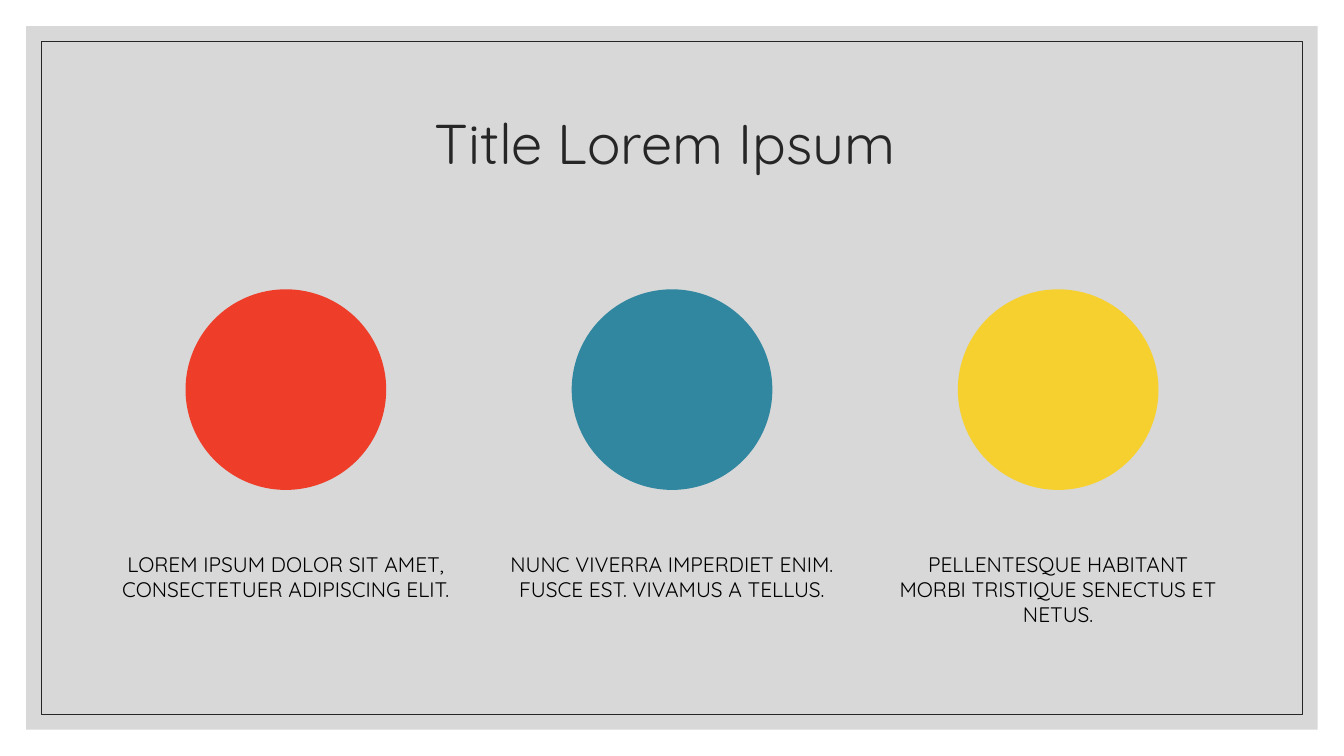
from lxml.etree import SubElement
from pptx import Presentation
from pptx.dml.color import RGBColor
from pptx.enum.shapes import MSO_SHAPE
from pptx.enum.text import MSO_ANCHOR, PP_ALIGN
from pptx.oxml.ns import qn
from pptx.util import Inches, Pt

WIDTH, HEIGHT = 13.33, 7.5
COLUMN_PITCH = 3.83
CIRCLE_TOP, CIRCLE_SIZE = 2.87, 1.99
CAPTION_TOP, CAPTION_WIDTH, CAPTION_HEIGHT = 5.47, 3.26, 0.79
COLUMNS = [
    ("EE3E2A", "LOREM IPSUM DOLOR SIT AMET, CONSECTETUER ADIPISCING ELIT. "),
    ("3187A0", "NUNC VIVERRA IMPERDIET ENIM. FUSCE EST. VIVAMUS A TELLUS."),
    ("F6D02E", "PELLENTESQUE HABITANT MORBI TRISTIQUE SENECTUS ET NETUS."),
]


def color(hex_string):
    return RGBColor.from_string(hex_string)


def add_shape(page, kind, left, top, width, height, fill=None, opacity=None, line=None):
    shape = page.shapes.add_shape(
        kind, Inches(left), Inches(top), Inches(width), Inches(height)
    )
    shape.shadow.inherit = False
    if fill:
        shape.fill.solid()
        shape.fill.fore_color.rgb = color(fill)
    else:
        shape.fill.background()
    if opacity:
        tint = shape.fill._xPr.find(qn("a:solidFill"))[0]
        SubElement(tint, qn("a:alpha"), val=str(opacity * 1000))
    if line:
        shape.line.color.rgb = color(line)
        shape.line.width = Pt(0.75)
    else:
        shape.line.fill.background()


def add_text(page, text, left, top, width, height, size, ink="000000",
             anchor=MSO_ANCHOR.TOP, spacing=1.0, insets=(0, 0)):
    box = page.shapes.add_textbox(
        Inches(left), Inches(top), Inches(width), Inches(height)
    )
    frame = box.text_frame
    frame.word_wrap = True
    frame.vertical_anchor = anchor
    frame.margin_left = frame.margin_right = Inches(insets[0])
    frame.margin_top = frame.margin_bottom = Inches(insets[1])
    para = frame.paragraphs[0]
    para.alignment = PP_ALIGN.CENTER
    para.line_spacing = spacing
    span = para.add_run()
    span.text = text
    span.font.name = "Quicksand"
    span.font.size = Pt(size)
    span.font.color.rgb = color(ink)


def add_panel(page, margin, **style):
    add_shape(page, MSO_SHAPE.RECTANGLE, margin, margin,
              WIDTH - 2 * margin, HEIGHT - 2 * margin, **style)


def add_column(page, center, fill, caption):
    add_shape(page, MSO_SHAPE.OVAL, center - CIRCLE_SIZE / 2, CIRCLE_TOP,
              CIRCLE_SIZE, CIRCLE_SIZE, fill=fill)
    add_text(page, caption, center - CAPTION_WIDTH / 2, CAPTION_TOP,
             CAPTION_WIDTH, CAPTION_HEIGHT, size=15)


def main():
    deck = Presentation()
    deck.slide_width, deck.slide_height = Inches(WIDTH), Inches(HEIGHT)
    page = deck.slides.add_slide(deck.slide_layouts[6])
    add_panel(page, 0.26, fill="BFBFBF", opacity=60)
    add_panel(page, 0.41, line="262626")
    add_text(page, "Title Lorem Ipsum ", 1.17, 0.7, 11, 1.5, size=40, ink="262626",
             anchor=MSO_ANCHOR.MIDDLE, spacing=0.9, insets=(0.1, 0.05))
    for index, (fill, caption) in enumerate(COLUMNS):
        add_column(page, WIDTH / 2 + (index - 1) * COLUMN_PITCH, fill, caption)
    deck.save("out.pptx")


if __name__ == "__main__":
    main()
